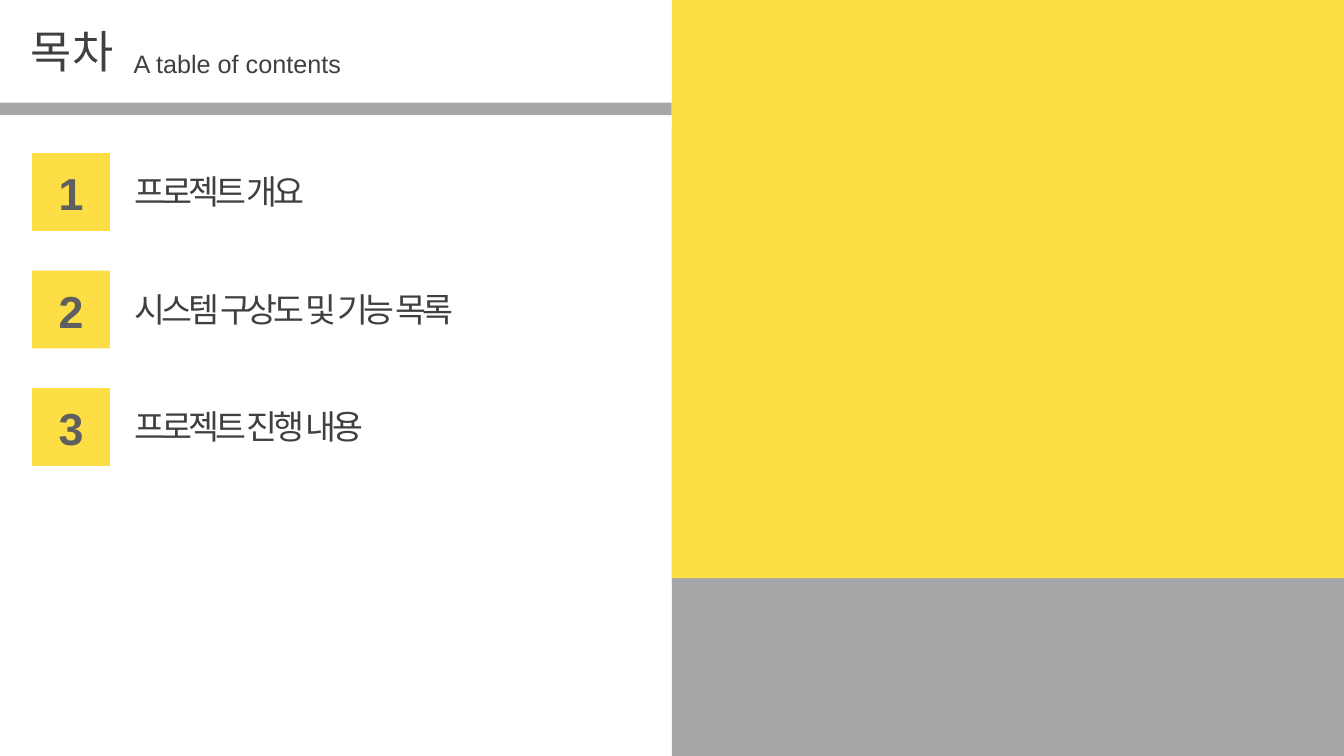
from lxml.etree import SubElement
from pptx import Presentation
from pptx.dml.color import RGBColor
from pptx.enum.shapes import MSO_SHAPE
from pptx.enum.text import MSO_AUTO_SIZE, PP_ALIGN
from pptx.oxml.ns import qn
from pptx.util import Cm, Pt

YELLOW, GRAY, DARK, NUMBER = "FDDE45", "A6A7A9", "404040", "5F5F5F"
FONT = "Arial"


def add_block(shapes, left, top, width, height, color):
    block = shapes.add_shape(MSO_SHAPE.RECTANGLE, Cm(left), Cm(top), Cm(width), Cm(height))
    block.shadow.inherit = False
    block.fill.solid()
    block.fill.fore_color.rgb = RGBColor.from_string(color)
    block.line.fill.background()


def add_label(shapes, left, top, width, height, text, size, color=DARK,
              bold=False, align=PP_ALIGN.LEFT, wrap=True, spacing=0):
    box = shapes.add_textbox(Cm(left), Cm(top), Cm(width), Cm(height))
    frame = box.text_frame
    frame.word_wrap = wrap
    frame.auto_size = MSO_AUTO_SIZE.SHAPE_TO_FIT_TEXT
    frame.text = text
    para = frame.paragraphs[0]
    para.alignment = align
    span = para.runs[0]
    span.font.size = Pt(size)
    span.font.bold = bold
    span.font.color.rgb = RGBColor.from_string(color)
    span.font.name = FONT
    # East Asian font and letter spacing
    properties = span._r.get_or_add_rPr()
    SubElement(properties, qn("a:ea")).set("typeface", FONT)
    if spacing:
        properties.set("spc", str(spacing * 100))


deck = Presentation()
deck.slide_width, deck.slide_height = Cm(33.87), Cm(19.05)
page = deck.slides.add_slide(deck.slide_layouts[6])
half = 16.93

# Gray panel and header rule
add_block(page.shapes, half, 3.23, 16.94, 15.82, GRAY)
add_block(page.shapes, 0, 2.59, half, 0.31, GRAY)

# Heading
add_label(page.shapes, 0.53, 0.48, 2.72, 1.63, "목차", 32, wrap=False)
add_label(page.shapes, 3.12, 1.09, 9, 1.02, "A table of contents", 18)

# Numbered contents
topics = ["프로젝트 개요", "시스템 구상도 및 기능 목록", "프로젝트 진행 내용"]
for index, topic in enumerate(topics):
    top = 3.86 + index * 2.96
    entry = page.shapes.add_group_shape().shapes
    add_block(entry, 0.81, top, 1.96, 1.96, YELLOW)
    add_label(entry, 1.22, top + 0.2, 1.14, 1.6, str(index + 1), 32, NUMBER,
              bold=True, align=PP_ALIGN.CENTER, wrap=False)
    add_label(entry, 3.15, top + 0.33, 10, 1.24, topic, 24, spacing=-3)

# Yellow panel
add_block(page.shapes, half, 0, 16.94, 14.57, YELLOW)

deck.save("out.pptx")
